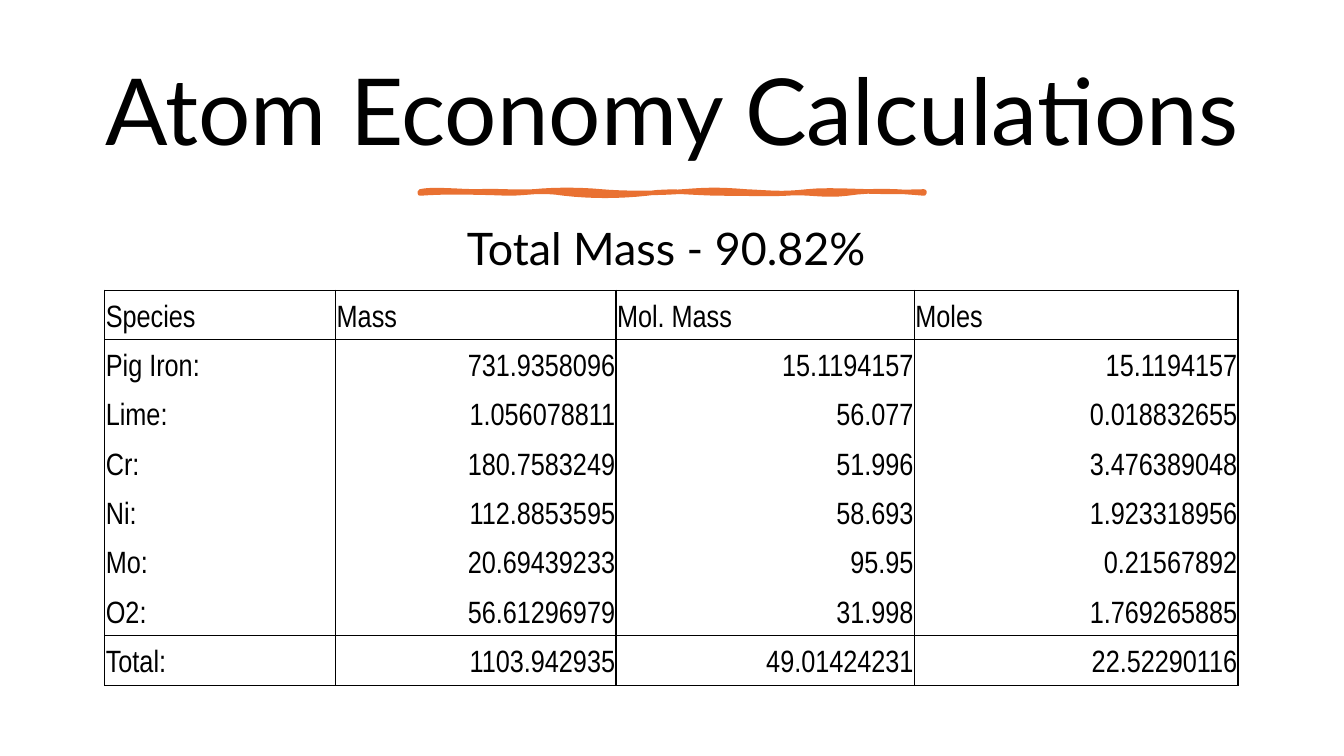
from dataclasses import dataclass

from lxml.etree import SubElement
from pptx import Presentation
from pptx.dml.color import RGBColor
from pptx.enum.text import MSO_ANCHOR, PP_ALIGN
from pptx.oxml.ns import qn
from pptx.util import Inches, Pt


@dataclass(frozen=True)
class Theme:
    ink: str = "000000"
    accent: str = "E97132"
    text_font: str = "Lato"
    table_font: str = "Arial Narrow"
    title: int = 66
    subtitle: int = 32
    cell: int = 22
    brush: float = 3.25
    border: int = 1


THEME = Theme()
WIDTH, HEIGHT = 13.33, 7.5

ROWS = [
    ("Species", "Mass", "Mol. Mass", "Moles"),
    ("Pig Iron:", "731.9358096", "15.1194157", "15.1194157"),
    ("Lime:", "1.056078811", "56.077", "0.018832655"),
    ("Cr:", "180.7583249", "51.996", "3.476389048"),
    ("Ni:", "112.8853595", "58.693", "1.923318956"),
    ("Mo:", "20.69439233", "95.95", "0.21567892"),
    ("O2:", "56.61296979", "31.998", "1.769265885"),
    ("Total:", "1103.942935", "49.01424231", "22.52290116"),
]
COLUMN_WIDTHS = (2.29, 2.78, 2.96, 3.21)

# Bezier points relative to the stroke's corner: a start, then three per curve
BRUSH_STROKE = [
    (0, 0),
    (0.12, -0.03), (0.38, 0), (0.57, 0),
    (0.76, -0.01), (0.93, 0.01), (1.13, 0),
    (1.33, -0.02), (1.58, -0.02), (1.8, 0),
    (2.01, 0.02), (2.37, 0.02), (2.61, 0),
    (2.86, -0.02), (2.98, -0.02), (3.23, 0),
    (3.47, 0.01), (3.58, 0.03), (3.84, 0),
    (4.1, -0.03), (4.51, 0.02), (5, 0),
    (5.01, 0.01), (5, 0.01), (5, 0.02),
    (4.79, 0), (4.49, -0.02), (4.24, 0.02),
    (3.99, 0.05), (3.85, 0), (3.63, 0.02),
    (3.4, 0.03), (3.31, 0.02), (3.01, 0.02),
    (2.71, 0.02), (2.51, -0.02), (2.25, 0.02),
    (1.98, 0.05), (1.69, 0.05), (1.43, 0.02),
    (1.18, -0.02), (1.07, 0.02), (0.87, 0.02),
    (0.67, 0.01), (0.22, 0), (0, 0.02),
]


def write(tf, text, *, size, font, align=PP_ALIGN.LEFT, spacing=1.0):
    p = tf.paragraphs[0]
    p.alignment = align
    p.line_spacing = spacing
    r = p.add_run()
    r.text = text
    r.font.size = Pt(size)
    r.font.name = font
    r.font.color.rgb = RGBColor.from_string(THEME.ink)


def heading(s, box, text, size):
    tf = s.shapes.add_textbox(*map(Inches, box)).text_frame
    tf.word_wrap = True
    tf.vertical_anchor = MSO_ANCHOR.MIDDLE
    write(tf, text, size=size, font=THEME.text_font,
          align=PP_ALIGN.CENTER, spacing=0.9)


def curve_points(points, steps=8):
    """Sample a chain of cubic Bezier curves."""
    for i in range(0, len(points) - 1, 3):
        for n in range(1, steps + 1):
            t = n / steps
            u = 1 - t
            weights = (u ** 3, 3 * u * u * t, 3 * u * t * t, t ** 3)
            yield tuple(sum(w * pt[axis] for w, pt in zip(weights, points[i:i + 4]))
                        for axis in (0, 1))


def brush_underline(s, left, top):
    outline = [(Inches(left + x), Inches(top + y)) for x, y in curve_points(BRUSH_STROKE)]
    builder = s.shapes.build_freeform(Inches(left), Inches(top))
    builder.add_line_segments(outline, close=True)
    sp = builder.convert_to_shape()
    sp.shadow.inherit = False
    sp.fill.solid()
    sp.fill.fore_color.rgb = RGBColor.from_string(THEME.accent)
    sp.line.color.rgb = RGBColor.from_string(THEME.accent)
    sp.line.width = Pt(THEME.brush)


def set_borders(cell, sides):
    """Rule the given sides, out of L, R, T and B, and clear the rest."""
    tc_pr = cell._tc.get_or_add_tcPr()
    for side in "LRTB":
        ln = SubElement(tc_pr, qn(f"a:ln{side}"), w=str(Pt(THEME.border)))
        if side in sides:
            fill = SubElement(ln, qn("a:solidFill"))
            SubElement(fill, qn("a:srgbClr"), val=THEME.ink)
        else:
            SubElement(ln, qn("a:noFill"))


def row_borders(row):
    last = len(ROWS) - 1
    top = "T" if row in (0, 1, last) else ""
    bottom = "B" if row in (0, last - 1, last) else ""
    return "LR" + top + bottom


def species_table(s, box):
    table = s.shapes.add_table(len(ROWS), len(COLUMN_WIDTHS), *map(Inches, box)).table
    table.first_row = table.horz_banding = False
    for column, width in zip(table.columns, COLUMN_WIDTHS):
        column.width = Inches(width)
    for i, values in enumerate(ROWS):
        table.rows[i].height = Inches(box[3] / len(ROWS))
        for j, value in enumerate(values):
            cell = table.cell(i, j)
            cell.margin_left = cell.margin_right = cell.margin_top = Inches(0.01)
            cell.margin_bottom = Inches(0.06)
            cell.vertical_anchor = MSO_ANCHOR.BOTTOM
            set_borders(cell, row_borders(i))
            cell.fill.background()
            write(cell.text_frame, value, size=THEME.cell, font=THEME.table_font,
                  align=PP_ALIGN.RIGHT if i and j else PP_ALIGN.LEFT)


def main():
    prs = Presentation()
    prs.slide_width, prs.slide_height = Inches(WIDTH), Inches(HEIGHT)
    s = prs.slides.add_slide(prs.slide_layouts[6])
    margin = 0.7
    text_width = WIDTH - 2 * margin
    heading(s, (margin, 0.46, text_width, 1.37), "Atom Economy Calculations", THEME.title)
    heading(s, (margin, 2.11, text_width, 0.75), "Total Mass - 90.82% ", THEME.subtitle)
    brush_underline(s, (WIDTH - 5) / 2, 1.9)
    species_table(s, (1.04, 2.88, sum(COLUMN_WIDTHS), 3.92))
    prs.save("out.pptx")


if __name__ == "__main__":
    main()
